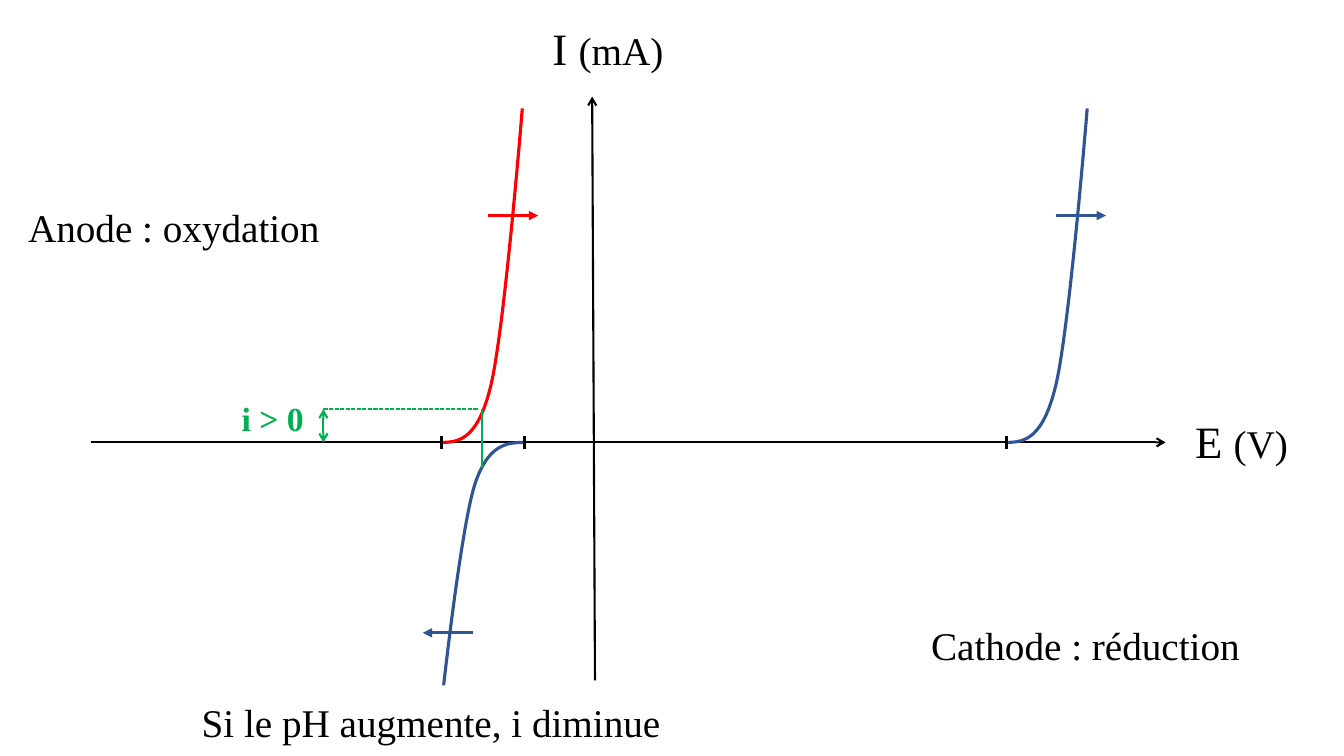
import collections

import pptx
import pptx.dml.color
import pptx.enum.dml
import pptx.enum.text
import pptx.oxml
import pptx.oxml.ns
import pptx.util

Pt = pptx.util.Pt
qn = pptx.oxml.ns.qn
RGBColor = pptx.dml.color.RGBColor
Box = collections.namedtuple("Box", "left top width height")

BLACK = RGBColor(0x00, 0x00, 0x00)
RED = RGBColor(0xFF, 0x00, 0x00)
BLUE = RGBColor(0x2F, 0x55, 0x97)
GREEN = RGBColor(0x00, 0xB0, 0x50)
FONT = "Times New Roman"
# Bezier control points, as shares of the width and height of a branch
BRANCH = [(0.22, 0), (0.45, 0.01), (0.61, 0.17), (0.78, 0.34), (1, 1), (1, 1)]


def add_line(page, start, end, color, weight, head=None, tail=None, dash=None):
    connector = page.shapes.add_connector(
        pptx.enum.shapes.MSO_CONNECTOR.STRAIGHT, *(Pt(value) for value in (*start, *end)))
    connector.line.color.rgb = color
    connector.line.width = Pt(weight)
    if dash:
        connector.line.dash_style = dash
    properties = connector._element.spPr
    outline = properties.find(qn("a:ln"))
    for tag, kind in (("a:headEnd", head), ("a:tailEnd", tail)):
        if kind:
            outline.append(pptx.oxml.xmlchemy.OxmlElement(tag))
            outline[-1].set("type", kind)
    properties.append(pptx.oxml.xmlchemy.OxmlElement("a:effectLst"))


def add_branch(page, foot, width, height, color):
    """Draw a branch that leaves the E axis at foot; signs give its direction."""
    points = [(Pt(foot[0] + x * width), Pt(foot[1] + y * height)) for x, y in BRANCH]
    builder = page.shapes.build_freeform(Pt(foot[0]), Pt(foot[1]))
    builder.add_line_segments(points, close=False)
    shape = builder.convert_to_shape()
    shape.shadow.inherit = False
    shape.fill.background()
    shape.line.color.rgb = color
    shape.line.width = Pt(2.25)
    segments = list(shape._element.iter(qn("a:lnTo")))
    for first in range(0, len(segments), 3):
        curve = pptx.oxml.xmlchemy.OxmlElement("a:cubicBezTo")
        segments[first].addprevious(curve)
        for segment in segments[first:first + 3]:
            curve.append(segment[0])
            segment.getparent().remove(segment)


def add_label(page, box, runs, color=BLACK, bold=False, wrap=False):
    """Add one line of text; runs holds pairs of wording and size."""
    label = page.shapes.add_textbox(*(Pt(value) for value in box))
    frame = label.text_frame
    frame.word_wrap = wrap
    frame.auto_size = pptx.enum.text.MSO_AUTO_SIZE.SHAPE_TO_FIT_TEXT
    for wording, size in runs:
        span = frame.paragraphs[0].add_run()
        span.text = wording
        span.font.name = FONT
        span.font.size = Pt(size)
        span.font.bold = bold
        span.font.color.rgb = color


def draw_axes(page, box):
    zero = box.top + 247
    right = box.left + box.width
    add_line(page, (box.left, zero), (right, zero), BLACK, 1.5, tail="arrow")
    add_label(page, Box(right + 14, zero - 24, 98, 46), [("E ", 32), ("(V)", 28)], wrap=True)
    add_line(page, (box.left + 360, box.top + box.height), (box.left + 358, box.top),
             BLACK, 1.5, tail="arrow")
    add_label(page, Box(box.left + 322.5, box.top - 57.5, 106.5, 46),
              [("I ", 32), ("(mA)", 28)], wrap=True)


def draw_branches(page, box):
    zero = box.top + 247
    # foot, width, height, colour, arrow start, arrow height, arrow length
    branches = [
        (309.5, -57.6, 173.5, BLUE, 273, 136, -36),
        (250.5, 57.6, -238.5, RED, 283.5, -162, 36),
        (654, 57.6, -238.5, BLUE, 689, -162, 36),
    ]
    for foot, width, height, color, start, rise, length in branches:
        x = box.left + foot
        add_branch(page, (x, zero), width, height, color)
        arrow = box.left + start
        add_line(page, (arrow, zero + rise), (arrow + length, zero + rise),
                 color, 2.25, tail="triangle")
        add_line(page, (x, zero - 4.5), (x, zero + 4.5), BLACK, 2.25)


def draw_current(page, box):
    """Mark the current read off at the mixed potential."""
    zero = box.top + 247
    level = zero - 23.7
    potential, gauge = box.left + 279, box.left + 166
    add_line(page, (potential, level), (potential, zero + 18), GREEN, 1.5)
    add_line(page, (gauge, level), (gauge, zero), GREEN, 1.5, head="arrow", tail="arrow")
    add_line(page, (gauge, level), (potential - 2, level), GREEN, 1,
             dash=pptx.enum.dml.MSO_LINE.SQUARE_DOT)
    add_label(page, Box(gauge - 65.5, zero - 35.5, 59, 36), [("i > 0", 24)], GREEN, bold=True)


def draw_captions(page, box):
    add_label(page, Box(box.left + 13, box.top + 142, 225, 41), [("Anode : oxydation", 28)])
    add_label(page, Box(box.left + 658, box.top + 440.5, 237, 41), [("Cathode : réduction", 28)])
    add_label(page, Box(box.left + 137, box.top + 495.5, 345.5, 41),
              [("Si le pH augmente, i diminue", 28)])


def main():
    deck = pptx.Presentation()
    deck.slide_width, deck.slide_height = Pt(960), Pt(540)
    page = deck.slides.add_slide(deck.slide_layouts[6])
    graph = Box(65, 69, 767.5, 417)
    draw_axes(page, graph)
    draw_branches(page, graph)
    draw_current(page, graph)
    draw_captions(page, Box(0, 0, 960, 540))
    deck.save("out.pptx")


if __name__ == "__main__":
    main()
